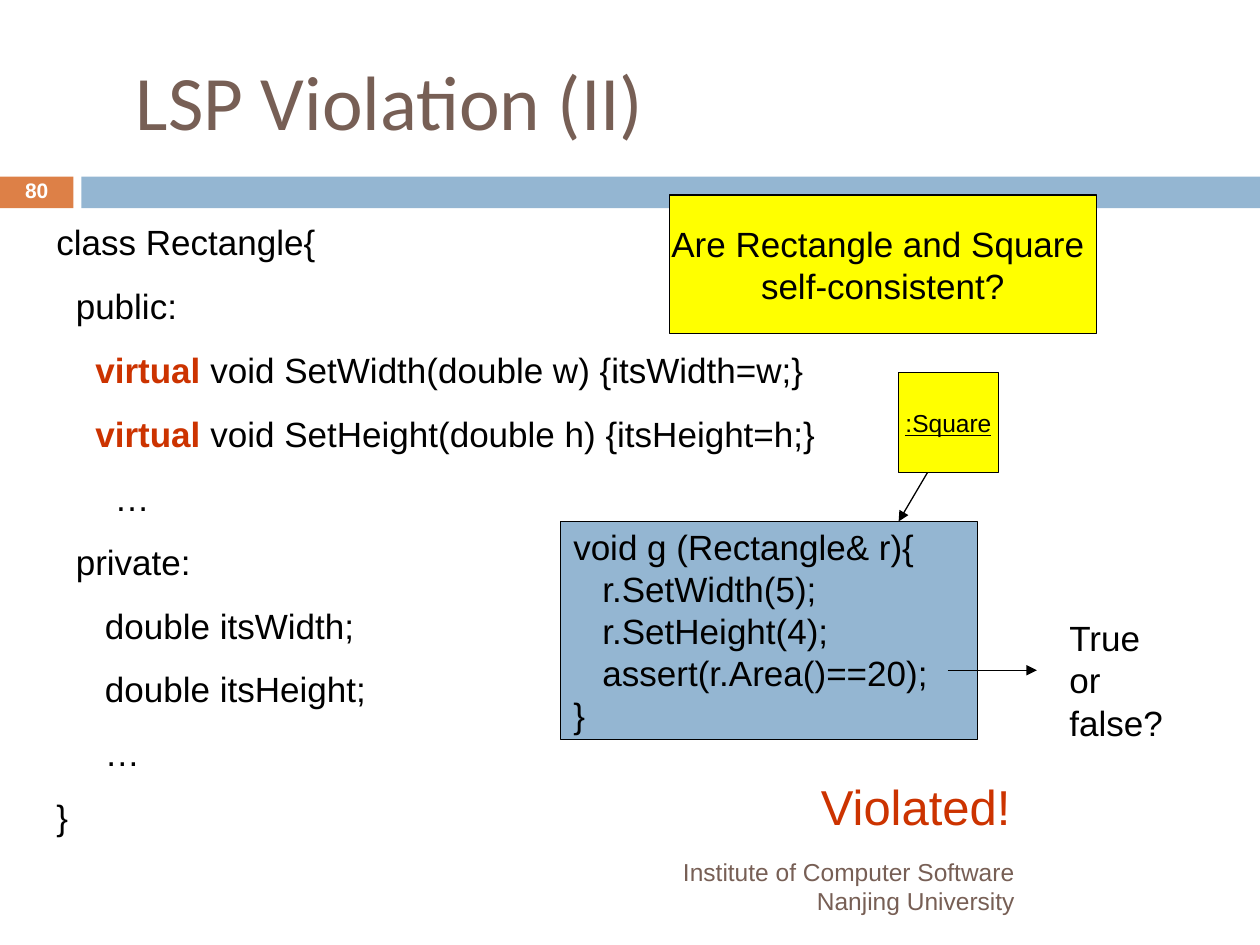
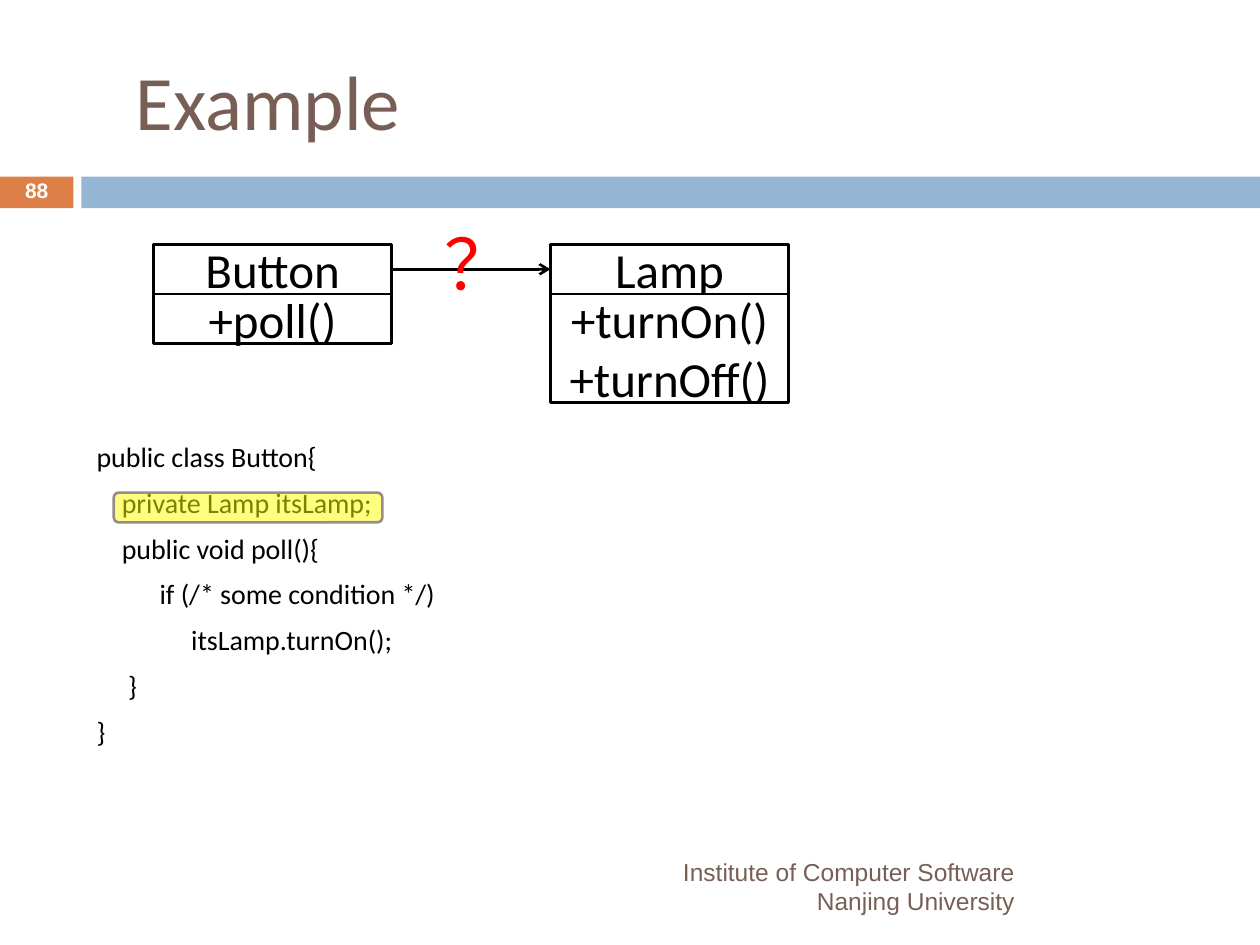
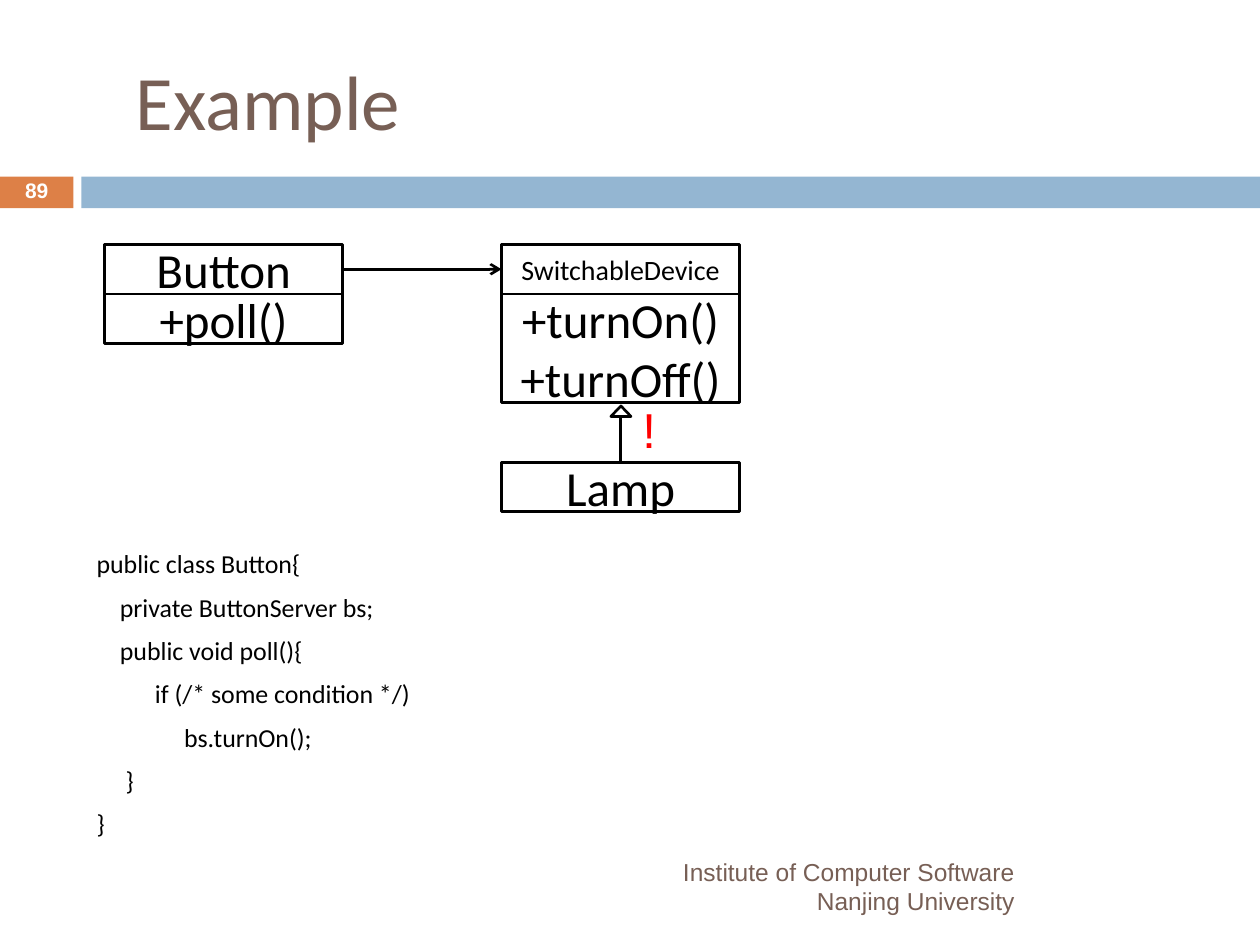
from lxml import etree
from pptx import Presentation
from pptx.dml.color import RGBColor
from pptx.enum import shapes, text
from pptx.oxml import ns
from pptx.util import Pt

COLORS = {
    "brown": "775F55", "orange": "DD8047", "blue": "94B6D2", "yellow": "FFFF00",
    "black": "000000", "white": "FFFFFF", "keyword": "CC3300", "red": "FF0000",
    "outline": "968C8C",
}
SANS, HUMANIST = "Arial", "Calibri"
LEFT, CENTER, RIGHT = text.PP_ALIGN.LEFT, text.PP_ALIGN.CENTER, text.PP_ALIGN.RIGHT
TOP, MIDDLE = text.MSO_ANCHOR.TOP, text.MSO_ANCHOR.MIDDLE
RECT = shapes.MSO_SHAPE.RECTANGLE
KEYWORD = "virtual"

# Class diagram grid
CLASS_TOP, CLASS_WIDTH, CLASS_STEP = 139.7, 136, 226.8
ROW_HEIGHT, EXTRA_LINE = 28.3, 33.6


def rgb(name):
    return RGBColor.from_string(COLORS[name])


def points(*values):
    return [Pt(value) for value in values]


# Text
def style(run, size, color, font, bold=False, underline=None):
    run.font.size, run.font.name = Pt(size), font
    run.font.bold, run.font.underline = bold, underline
    run.font.color.rgb = rgb(color)


def write(shape, content, size, color="black", font=SANS, align=LEFT,
          anchor=TOP, wrap=True, gap=0, spacing=None, **emphasis):
    frame = shape.text_frame
    frame.text = content
    frame.word_wrap, frame.vertical_anchor = wrap, anchor
    frame.auto_size = text.MSO_AUTO_SIZE.NONE
    for index, line in enumerate(frame.paragraphs):
        line.alignment, line.line_spacing = align, spacing
        line.space_before = Pt(gap if index else 0)
        for run in line.runs:
            style(run, size, color, font, **emphasis)


def add_label(slide, box, content, size, color="black", **options):
    write(slide.shapes.add_textbox(*points(*box)), content, size, color, **options)


def highlight_keyword(line, size, font):
    before, keyword, after = line.text.partition(KEYWORD)
    if not keyword:
        return
    line.text = before
    style(line.runs[0], size, "black", font)
    for part, color in ((keyword, "keyword"), (after, "black")):
        run = line.add_run()
        run.text = part
        style(run, size, color, font, bold=color == "keyword")


def add_code(slide, box, content, size, font, gap, hanging=0):
    listing = slide.placeholders[1]
    listing.left, listing.top, listing.width, listing.height = points(*box)
    write(listing, content, size, font=font, gap=gap)
    for line in listing.text_frame.paragraphs:
        highlight_keyword(line, size, font)
        properties = line._p.get_or_add_pPr()
        properties.set("marL", str(Pt(hanging)))
        properties.set("indent", str(-Pt(hanging)))
        etree.SubElement(properties, ns.qn("a:buNone"))


# Shapes and lines
def add_block(slide, box, fill, line=None, weight=0.75, kind=RECT):
    block = slide.shapes.add_shape(kind, *points(*box))
    block.shadow.inherit = False
    block.fill.solid()
    block.fill.fore_color.rgb = rgb(fill)
    if line:
        block.line.color.rgb, block.line.width = rgb(line), Pt(weight)
    else:
        block.line.fill.background()
    return block


def add_line(slide, start, end, weight=0.75, head=None):
    line = slide.shapes.add_connector(
        shapes.MSO_CONNECTOR.STRAIGHT, *points(*start, *end))
    line.line.color.rgb, line.line.width = rgb("black"), Pt(weight)
    properties = line.element.spPr
    if head:
        outline = properties.find(ns.qn("a:ln"))
        etree.SubElement(outline, ns.qn("a:tailEnd"), type=head)
    etree.SubElement(properties, ns.qn("a:effectLst"))


def add_class(slide, left, top, name, methods=(), name_size=28):
    rows = [(top, ROW_HEIGHT, name, name_size)]
    if methods:
        height = ROW_HEIGHT + EXTRA_LINE * (len(methods) - 1)
        rows.append((top + ROW_HEIGHT, height, "\n".join(methods), 28))
    for row_top, height, content, size in rows:
        row = add_block(slide, (left, row_top, CLASS_WIDTH, height), "white", "black", 1.5)
        write(row, content, size, font=HUMANIST, align=CENTER, anchor=MIDDLE)


def add_button_diagram(slide, left, target, target_size=28):
    right = left + CLASS_STEP
    add_class(slide, left, CLASS_TOP, "Button", ["+poll()"])
    add_class(slide, right, CLASS_TOP, target, ["+turnOn()", "+turnOff()"], target_size)
    middle = CLASS_TOP + ROW_HEIGHT / 2
    add_line(slide, (left + CLASS_WIDTH, middle), (right, middle), 1.5, "arrow")
    return right


# Shared slide frame
def add_slide(deck, heading, number):
    slide = deck.slides.add_slide(deck.slide_layouts[1])
    add_block(slide, (0, 101, 42, 18), "orange")
    add_block(slide, (46.5, 101, 673.5, 18), "blue")
    title = slide.shapes.title
    title.left, title.top, title.width, title.height = points(70.5, 18, 619, 78)
    write(title, heading, 44, "brown", font=HUMANIST, anchor=MIDDLE)
    add_label(slide, (48, 492, 539, 29), "Institute of Computer Software\nNanjing University",
              14, "brown", align=RIGHT, anchor=MIDDLE)
    add_label(slide, (0, 100, 42, 19.5), number, 12, "white", align=CENTER,
              anchor=MIDDLE, spacing=0.8, bold=True)
    return slide


def build_violation(deck):
    slide = add_slide(deck, "LSP Violation (II)", "80")
    add_code(slide, (25, 122.5, 453.5, 360), """class Rectangle{
  public:
    virtual void SetWidth(double w) {itsWidth=w;}
    virtual void SetHeight(double h) {itsHeight=h;}
      …
  private:
     double itsWidth;
     double itsHeight;
     …
}""", 20, SANS, gap=12.5)

    question = add_block(slide, (382.5, 111.5, 244, 79), "yellow", "black")
    write(question, "Are Rectangle and Square \nself-consistent?", 20,
          align=CENTER, anchor=MIDDLE, wrap=False)
    client = add_block(slide, (320.5, 298, 238, 124.5), "blue", "black",
                       kind=shapes.MSO_SHAPE.FLOWCHART_PROCESS)
    write(client, """void g (Rectangle& r){
   r.SetWidth(5);
   r.SetHeight(4);
   assert(r.Area()==20);
}""", 20, anchor=MIDDLE, wrap=False)
    add_line(slide, (530, 270), (513.5, 298), head="triangle")
    square = add_block(slide, (513.5, 213, 57, 57), "yellow", "black")
    write(square, ":Square", 14, align=CENTER, anchor=MIDDLE, wrap=False, underline=True)
    add_line(slide, (541.5, 383), (592.5, 383), head="triangle")
    add_label(slide, (604, 349, 69, 79), "True or false?", 20)
    add_label(slide, (462, 440, 153.5, 41), "Violated!", 28, "keyword")


def build_direct_example(deck):
    slide = add_slide(deck, "Example", "88")
    add_code(slide, (48, 247.5, 642, 232.5), """public class Button{
    private Lamp itsLamp;
    public void poll(){
          if (/* some condition */)
               itsLamp.turnOn();
     }
}""", 16, HUMANIST, gap=7, hanging=25)
    add_button_diagram(slide, 87.8, "Lamp")

    # Translucent marker over the dependency
    marker = add_block(slide, (65, 281.5, 153.5, 17), "yellow", "outline", 1.5,
                       shapes.MSO_SHAPE.ROUNDED_RECTANGLE)
    tint = marker.element.spPr.find(ns.qn("a:solidFill"))[0]
    etree.SubElement(tint, ns.qn("a:alpha"), val="50000")
    add_label(slide, (247, 122.5, 45, 55.5), "？", 40, "red")


def build_inverted_example(deck):
    slide = add_slide(deck, "Example", "89")
    add_code(slide, (48, 309.5, 642, 170), """public class Button{
    private ButtonServer bs;
    public void poll(){
          if (/* some condition */)
               bs.turnOn();
     }
}""", 14.8, HUMANIST, gap=7, hanging=25)
    device_left = add_button_diagram(slide, 59.8, "SwitchableDevice", 16)

    # Inheritance
    lamp_top, axis = 264.2, device_left + CLASS_WIDTH / 2
    add_class(slide, device_left, lamp_top, "Lamp")
    add_block(slide, (axis - 5.5, 232, 11.5, 6), "white", "black", 1.5,
              shapes.MSO_SHAPE.ISOSCELES_TRIANGLE)
    add_line(slide, (axis, 238), (axis, lamp_top), 1.5)
    add_label(slide, (360, 224.5, 45, 41), "!", 28, "red")


def main():
    deck = Presentation()
    deck.slide_width, deck.slide_height = points(720, 540)
    build_violation(deck)
    build_direct_example(deck)
    build_inverted_example(deck)
    deck.save("out.pptx")


if __name__ == "__main__":
    main()
